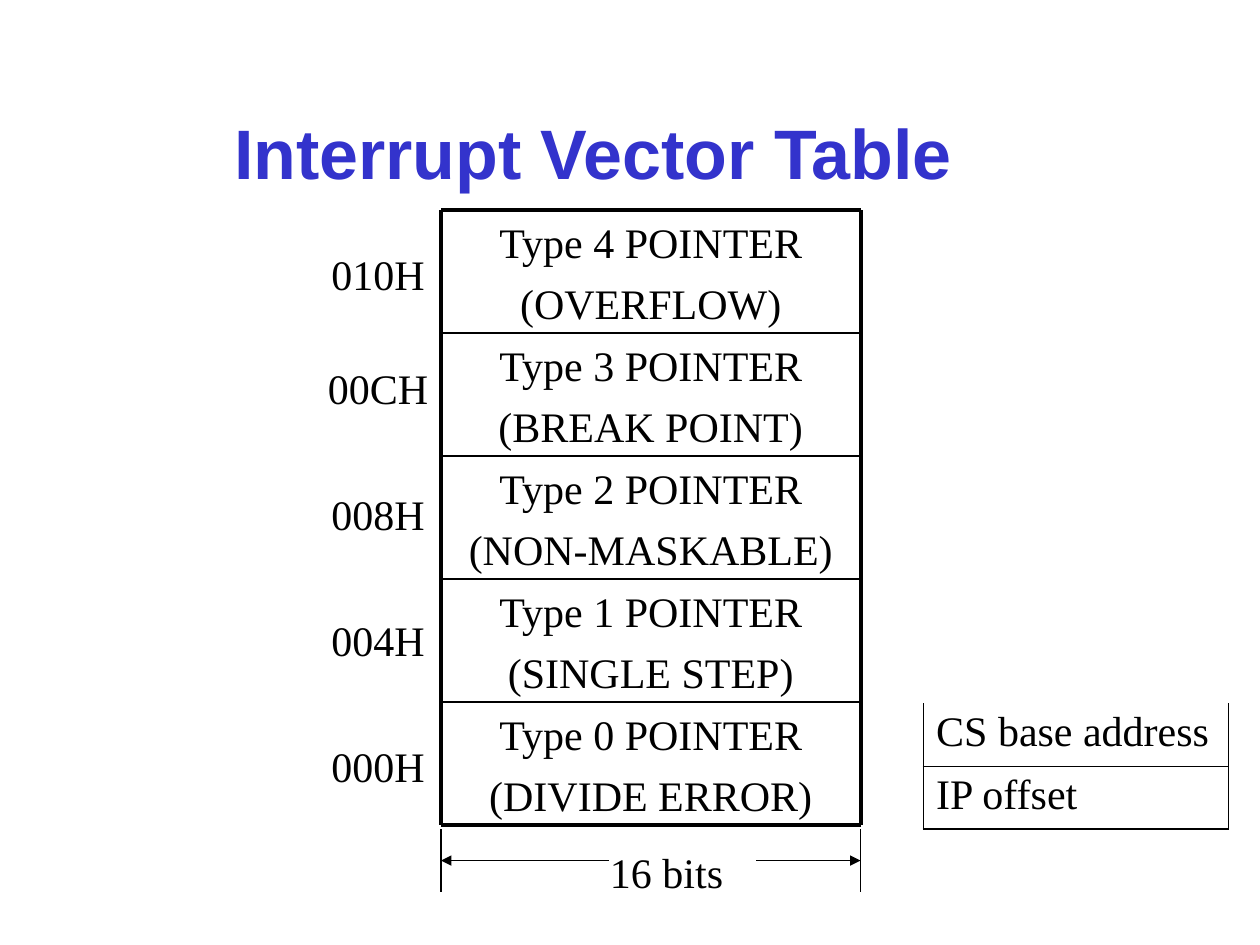
from dataclasses import dataclass

import pptx
import pptx.dml.color
import pptx.enum.shapes
import pptx.enum.text
import pptx.oxml.ns
import pptx.util
from lxml import etree

Inches = pptx.util.Inches
Pt = pptx.util.Pt
Align = pptx.enum.text.PP_ALIGN
Anchor = pptx.enum.text.MSO_ANCHOR

BLACK = pptx.dml.color.RGBColor(0x00, 0x00, 0x00)
BLUE = pptx.dml.color.RGBColor(0x33, 0x33, 0xCC)
SERIF = "Times New Roman"

GRID_LEFT, GRID_RIGHT = 3.5, 6.83
GRID_TOP, GRID_BOTTOM = 1.67, 6.55


@dataclass
class Vector:
    name: str
    cause: str
    address: str
    address_top: float


@dataclass
class Rule:
    x1: float
    y1: float
    x2: float
    y2: float
    width: float
    arrow: bool = False


VECTORS = [
    Vector("Type 4 POINTER", "(OVERFLOW)", "010H", 1.92),
    Vector("Type 3 POINTER", "(BREAK POINT)", "00CH", 2.83),
    Vector("Type 2 POINTER", "(NON-MASKABLE)", "008H", 3.83),
    Vector("Type 1 POINTER", "(SINGLE STEP)", "004H", 4.83),
    Vector("Type 0 POINTER", "(DIVIDE ERROR)", "000H", 5.83),
]
ROW_HEIGHT = (GRID_BOTTOM - GRID_TOP) / len(VECTORS)


def add_drawing_child(parent, tag: str, **attributes: str):
    return etree.SubElement(parent, pptx.oxml.ns.qn(f"a:{tag}"), **attributes)


def write_lines(frame, lines: list[str], align, size: float = 24,
                font: str = SERIF, color=BLACK, bold: bool = False) -> None:
    for index, line in enumerate(lines):
        para = frame.paragraphs[0] if index == 0 else frame.add_paragraph()
        para.alignment = align
        if index:
            para.space_before = Pt(6)
        span = para.add_run()
        span.text = line
        span.font.size = Pt(size)
        span.font.name = font
        span.font.bold = bold
        span.font.color.rgb = color


def add_label(slide, lines: list[str], left: float, top: float, width: float,
              height: float, anchor=Anchor.TOP, **style) -> None:
    box = slide.shapes.add_textbox(Inches(left), Inches(top), Inches(width), Inches(height))
    box.text_frame.word_wrap = True
    box.text_frame.vertical_anchor = anchor
    write_lines(box.text_frame, lines, Align.CENTER, **style)


def add_rule(slide, rule: Rule) -> None:
    line = slide.shapes.add_connector(
        pptx.enum.shapes.MSO_CONNECTOR.STRAIGHT,
        Inches(rule.x1), Inches(rule.y1), Inches(rule.x2), Inches(rule.y2))
    line.line.color.rgb = BLACK
    line.line.width = Pt(rule.width)
    if rule.arrow:
        add_drawing_child(line.line._get_or_add_ln(), "tailEnd", type="triangle")
    add_drawing_child(line._element.spPr, "effectLst")


def set_borders(cell, **widths: float) -> None:
    """Draw the sides given in points and hide those given as zero."""
    properties = cell._tc.get_or_add_tcPr()
    for position, side in enumerate(("L", "R", "T", "B")):
        width = widths[side]
        border = etree.Element(pptx.oxml.ns.qn(f"a:ln{side}"), w=str(int(Pt(width))))
        if width:
            fill = add_drawing_child(border, "solidFill")
            add_drawing_child(fill, "srgbClr", val=str(BLACK))
        else:
            add_drawing_child(border, "noFill")
        properties.insert(position, border)


def add_pointer_table(slide) -> None:
    table = slide.shapes.add_table(
        2, 1, Inches(7.33), Inches(5.58), Inches(2.42), Inches(1)).table
    table.first_row = False
    table.horz_banding = False
    for index, text in enumerate(("CS base address", "IP offset")):
        cell = table.cell(index, 0)
        cell.fill.background()
        write_lines(cell.text_frame, [text], Align.LEFT)
        set_borders(cell, L=1.08, R=1.08, T=0.45 * index, B=1.08 if index else 0.45)


def main() -> None:
    deck = pptx.Presentation()
    deck.slide_width, deck.slide_height = Inches(10), Inches(7.5)
    slide = deck.slides.add_slide(deck.slide_layouts[6])

    # Title
    add_label(slide, ["Interrupt Vector Table"], 1.33, 0.83, 6.75, 0.75,
              anchor=Anchor.MIDDLE, size=40, font="Arial", color=BLUE, bold=True)

    # Vectors and their addresses
    width = GRID_RIGHT - GRID_LEFT
    for index, vector in enumerate(VECTORS):
        add_label(slide, [vector.name, vector.cause], GRID_LEFT,
                  GRID_TOP + index * ROW_HEIGHT, width, ROW_HEIGHT)
        add_label(slide, [vector.address], GRID_LEFT - 1, vector.address_top, 1, 0.5)

    # Grid lines: heavy outside, light between rows
    for index in range(len(VECTORS) + 1):
        y = GRID_TOP + index * ROW_HEIGHT
        weight = 2.25 if index in (0, len(VECTORS)) else 1
        add_rule(slide, Rule(GRID_LEFT, y, GRID_RIGHT, y, weight))
    for x in (GRID_LEFT, GRID_RIGHT):
        add_rule(slide, Rule(x, GRID_TOP, x, GRID_BOTTOM, 2.25))

    # Width dimension below the grid
    add_label(slide, ["16 bits"], 4.5, 6.67, 1.58, 0.5)
    for x, inner in ((GRID_LEFT, 4.83), (GRID_RIGHT, 6)):
        add_rule(slide, Rule(x, 6.58, x, 7.08, 0.75))
        add_rule(slide, Rule(inner, 6.83, x, 6.83, 0.75, arrow=True))

    # Contents of one pointer
    add_pointer_table(slide)

    deck.save("out.pptx")


if __name__ == "__main__":
    main()
